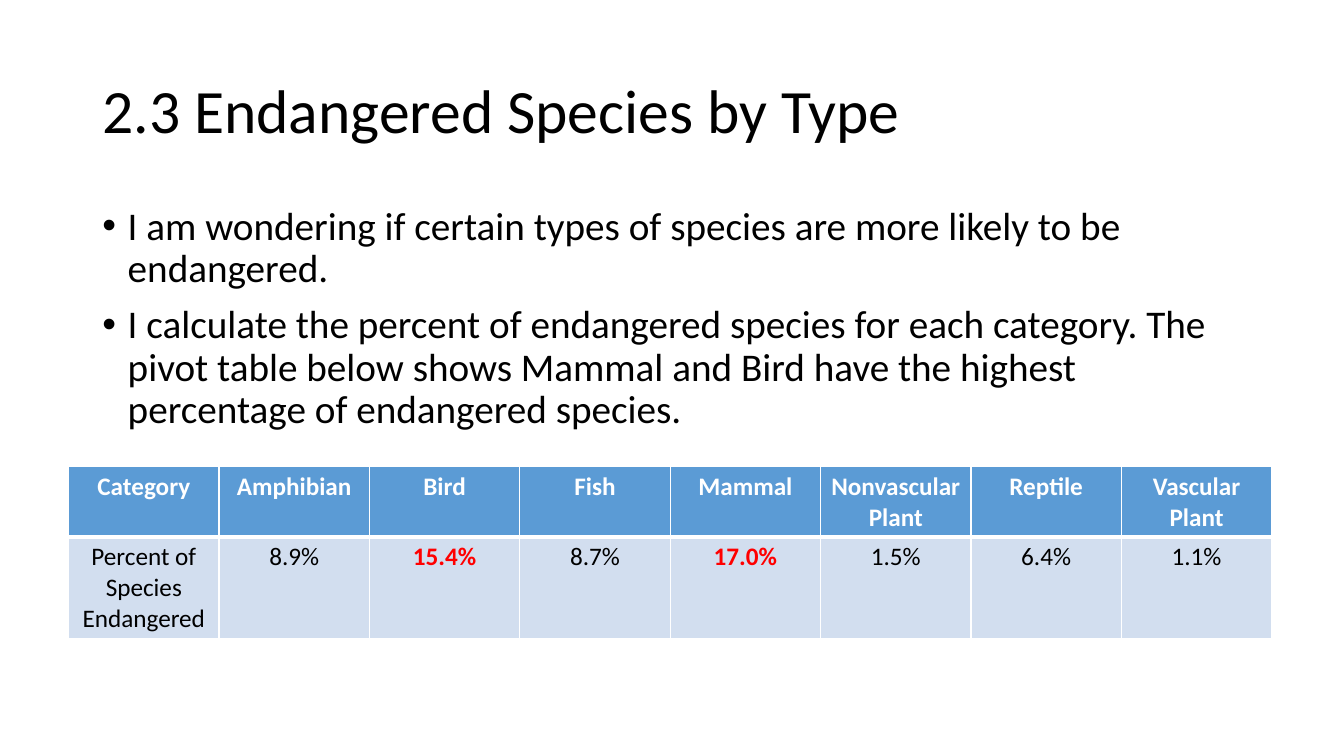
from dataclasses import dataclass

from lxml import etree
from pptx import Presentation
from pptx import util as u
from pptx.dml.color import RGBColor
from pptx.enum import text
from pptx.oxml import ns


@dataclass(frozen=True)
class Theme:
    """Colours and type sizes of the slide."""
    font: str = "Calibri"
    ink: str = "000000"
    paper: str = "FFFFFF"
    header: str = "5B9BD5"
    band: str = "D2DEEF"
    accent: str = "FF0000"
    title_size: int = 44
    body_size: int = 28
    table_size: int = 18


class SlideBuilder:
    """Draws styled elements on one slide."""

    def __init__(self, prs, theme):
        self.theme = theme
        self.slide = prs.slides.add_slide(prs.slide_layouts[6])

    def run(self, p, words, size, color, bold=False):
        """Add one styled run to a paragraph."""
        r = p.add_run()
        r.text = words
        r.font.name = self.theme.font
        r.font.size = u.Pt(size)
        r.font.bold = bold
        r.font.color.rgb = RGBColor.from_string(color)

    def box(self, left, top, width, height, anchor):
        """Add an empty wrapping text box and return its frame."""
        sp = self.slide.shapes.add_textbox(*map(u.Cm, (left, top, width, height)))
        tf = sp.text_frame
        tf.word_wrap = True
        tf.vertical_anchor = anchor
        return tf

    def title(self, words, *place):
        """Add the slide title."""
        tf = self.box(*place, text.MSO_ANCHOR.MIDDLE)
        p = tf.paragraphs[0]
        p.line_spacing = 0.9
        self.run(p, words, self.theme.title_size, self.theme.ink)

    def bullets(self, items, *place):
        """Add a bulleted list."""
        tf = self.box(*place, text.MSO_ANCHOR.TOP)
        for i, words in enumerate(items):
            p = tf.add_paragraph() if i else tf.paragraphs[0]
            p.line_spacing = 0.9
            p.space_before = u.Pt(10)
            pPr = p._p.get_or_add_pPr()
            indent = u.Cm(0.64)
            pPr.set("marL", str(indent))
            pPr.set("indent", str(-indent))
            etree.SubElement(pPr, ns.qn("a:buFont"), typeface="Arial")
            etree.SubElement(pPr, ns.qn("a:buChar"), char="•")
            self.run(p, words, self.theme.body_size, self.theme.ink)

    def borders(self, cell, bottom):
        """Draw the borders of a cell, with its own bottom width."""
        tcPr = cell._tc.get_or_add_tcPr()
        for side, width in (("L", 1), ("R", 1), ("T", 1), ("B", bottom)):
            ln = etree.SubElement(tcPr, ns.qn(f"a:ln{side}"), w=str(u.Pt(width)))
            fill = etree.SubElement(ln, ns.qn("a:solidFill"))
            etree.SubElement(fill, ns.qn("a:srgbClr"), val=self.theme.paper)

    def cell(self, cell, words, fill, color, bold, bottom):
        """Style and fill one table cell."""
        self.borders(cell, bottom)
        cell.fill.solid()
        cell.fill.fore_color.rgb = RGBColor.from_string(fill)
        p = cell.text_frame.paragraphs[0]
        p.alignment = text.PP_ALIGN.CENTER
        self.run(p, words, self.theme.table_size, color, bold)

    def table(self, columns, highlights, left, top, col_width, row_heights):
        """Add a two-row table from pairs of heading and value."""
        t = self.theme
        frame = self.slide.shapes.add_table(
            2, len(columns), u.Cm(left), u.Cm(top),
            u.Cm(col_width * len(columns)), u.Cm(sum(row_heights)))
        table = frame.table
        for row, height in zip(table.rows, row_heights):
            row.height = u.Cm(height)
        for i, (heading, value) in enumerate(columns):
            table.columns[i].width = u.Cm(col_width)
            marked = heading in highlights
            self.cell(table.cell(0, i), heading, t.header, t.paper, True, 3)
            self.cell(table.cell(1, i), value, t.band,
                      t.accent if marked else t.ink, marked, 1)


def main():
    """Build and save the slide."""
    prs = Presentation()
    prs.slide_width, prs.slide_height = u.Cm(33.87), u.Cm(19.05)
    s = SlideBuilder(prs, Theme())
    s.title("2.3 Endangered Species by Type", 2.33, 1.01, 29.21, 3.68)
    s.bullets([
        "I am wondering if certain types of species are more likely to be "
        "endangered.",
        "I calculate the percent of endangered species for each category. "
        "The pivot table below shows Mammal and Bird have the highest "
        "percentage of endangered species.",
    ], 2.33, 5.07, 29.21, 12.09)
    s.table([
        ("Category", "Percent of Species Endangered"),
        ("Amphibian", "8.9%"),
        ("Bird", "15.4%"),
        ("Fish", "8.7%"),
        ("Mammal", "17.0%"),
        ("Nonvascular Plant", "1.5%"),
        ("Reptile", "6.4%"),
        ("Vascular Plant", "1.1%"),
    ], {"Bird", "Mammal"}, 1.73, 11.75, 3.79, (1.78, 2.56))
    prs.save("out.pptx")


if __name__ == "__main__":
    main()
